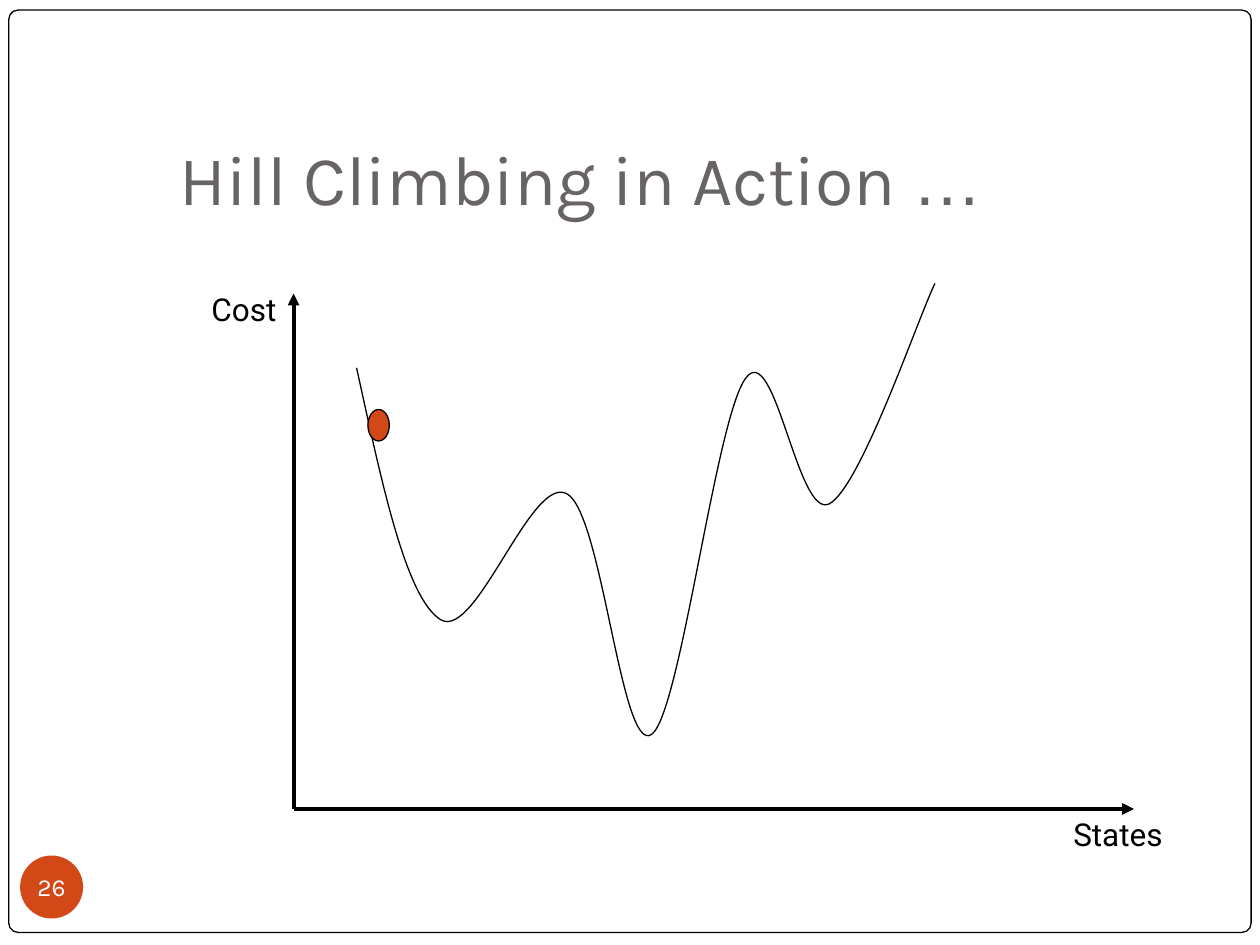
"""Build the slide that shows hill climbing on a cost curve."""
import pptx
import pptx.dml.color
import pptx.enum.shapes
import pptx.enum.text
import pptx.oxml.ns
import pptx.util
from lxml import etree

Inches = pptx.util.Inches
Pt = pptx.util.Pt
SHAPE = pptx.enum.shapes.MSO_SHAPE
ANCHOR = pptx.enum.text.MSO_ANCHOR
ALIGN = pptx.enum.text.PP_ALIGN
qn = pptx.oxml.ns.qn

INK = "000000"
PAPER = "FFFFFF"
ACCENT = "D34817"
GREY = "696464"

CURVE = [
    (2.83, 2.92),
    (3.03, 3.83), (3.22, 4.75), (3.5, 4.92),
    (3.78, 5.08), (4.22, 3.76), (4.5, 3.92),
    (4.78, 4.07), (4.93, 5.99), (5.17, 5.83),
    (5.4, 5.68), (5.68, 3.31), (5.92, 3),
    (6.15, 2.69), (6.33, 4.12), (6.58, 4),
    (6.83, 3.87), (7.28, 2.54), (7.42, 2.25),
]


def paint(item, color):
    item.solid()
    item.fore_color.rgb = pptx.dml.color.RGBColor.from_string(color)


def stroke(shape, width):
    paint(shape.line.fill, INK)
    shape.line.width = Pt(width)


def add_solid(slide, kind, box, color, edge=True):
    shape = slide.shapes.add_shape(kind, *map(Inches, box))
    shape.shadow.inherit = False
    paint(shape.fill, color)
    if edge:
        stroke(shape, 0.75)
    else:
        shape.line.fill.background()
    return shape


def write(shape, runs, size, color, pads=(0.1, 0.05, 0.1, 0.05),
          anchor=ANCHOR.TOP, align=ALIGN.LEFT):
    frame = shape.text_frame
    frame.word_wrap = True
    frame.vertical_anchor = anchor
    (frame.margin_left, frame.margin_top,
     frame.margin_right, frame.margin_bottom) = map(Inches, pads)
    para = frame.paragraphs[0]
    para.alignment = align
    for text, face in runs:
        run = para.add_run()
        run.text = text
        run.font.name = face
        run.font.size = Pt(size)
        paint(run.font.fill, color)


def add_label(slide, box, runs, size, color, **style):
    label = slide.shapes.add_textbox(*map(Inches, box))
    write(label, runs, size, color, **style)


def add_axis(slide, start, end):
    axis = slide.shapes.add_connector(
        pptx.enum.shapes.MSO_CONNECTOR.STRAIGHT, *map(Inches, start + end))
    stroke(axis, 2.25)
    etree.SubElement(axis.line._get_or_add_ln(), qn("a:tailEnd"), type="triangle")
    etree.SubElement(axis._element.spPr, qn("a:effectLst"))


def add_curve(slide, points):
    spots = [(Inches(x), Inches(y)) for x, y in points]
    maker = slide.shapes.build_freeform(*spots[0])
    maker.add_line_segments(spots[1:], close=False)
    curve = maker.convert_to_shape()
    curve.shadow.inherit = False
    curve.fill.background()
    stroke(curve, 0.75)
    legs = list(curve._element.iter(qn("a:lnTo")))
    for first, second, third in zip(legs[::3], legs[1::3], legs[2::3]):
        bend = etree.Element(qn("a:cubicBezTo"))
        first.addprevious(bend)
        for leg in (first, second, third):
            bend.append(leg[0])
            leg.getparent().remove(leg)


def main():
    deck = pptx.Presentation()
    deck.slide_width, deck.slide_height = Inches(10), Inches(7.5)
    slide = deck.slides.add_slide(deck.slide_layouts[6])

    frame = add_solid(slide, SHAPE.ROUNDED_RECTANGLE, (0.07, 0.08, 9.86, 7.32), PAPER)
    frame.adjustments[0] = 0.01
    add_label(slide, (1.33, 0.94, 8.52, 0.9),
              [("Hill Climbing in Action ", "Karla"), ("…", "Arial")], 40, GREY,
              pads=(0.1, 0.05, 0.1, 0.1), anchor=ANCHOR.BOTTOM)
    badge = add_solid(slide, SHAPE.OVAL, (0.16, 6.79, 0.5, 0.5), ACCENT, edge=False)
    write(badge, [("26", "Karla")], 14, PAPER, pads=(0, 0, 0, 0),
          anchor=ANCHOR.MIDDLE, align=ALIGN.CENTER)

    origin = (2.33, 6.42)
    add_axis(slide, origin, (9, 6.42))
    add_axis(slide, origin, (2.33, 2.33))
    add_curve(slide, CURVE)
    add_solid(slide, SHAPE.OVAL, (2.92, 3.25, 0.17, 0.25), ACCENT)
    add_label(slide, (1.58, 2.25, 1.08, 0.4), [("Cost", "Roboto")], 18, INK)
    add_label(slide, (8.42, 6.42, 1.17, 0.4), [("States", "Roboto")], 18, INK)
    deck.save("out.pptx")


if __name__ == "__main__":
    main()
